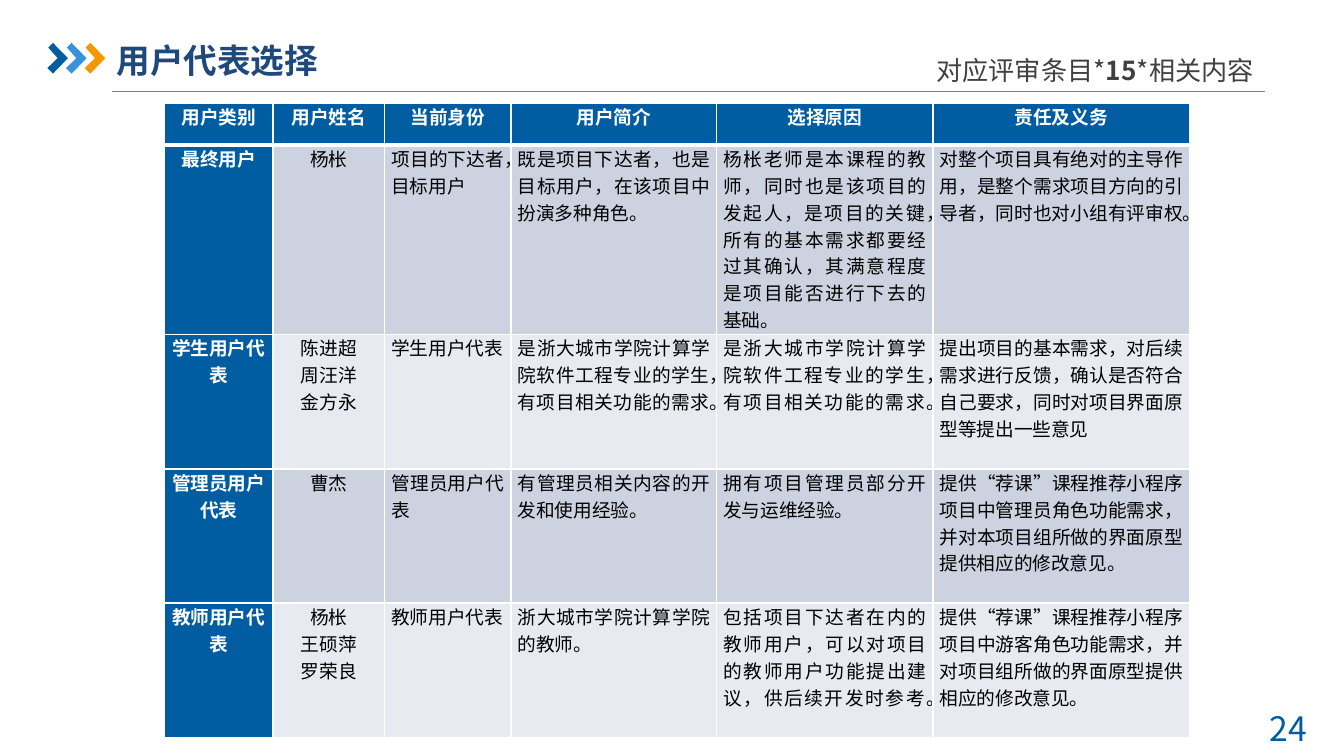
from lxml.etree import SubElement
from pptx import Presentation
from pptx.dml.color import RGBColor
from pptx.enum.shapes import MSO_CONNECTOR
from pptx.enum.text import MSO_ANCHOR, PP_ALIGN
from pptx.oxml.ns import qn
from pptx.util import Pt

FONT = "Noto Sans CJK SC"
WHITE = RGBColor(0xFF, 0xFF, 0xFF)
BLACK = RGBColor(0x00, 0x00, 0x00)
BLUE = RGBColor(0x00, 0x5D, 0xA2)
SKY = RGBColor(0x39, 0x92, 0xDB)
ORANGE = RGBColor(0xF7, 0x96, 0x00)
NAVY = RGBColor(0x1F, 0x49, 0x7D)
DARK_GRAY = RGBColor(0x40, 0x40, 0x40)
GRAY = RGBColor(0x80, 0x80, 0x80)
BAND_DARK = RGBColor(0xCC, 0xD2, 0xE0)
BAND_LIGHT = RGBColor(0xE7, 0xEA, 0xF0)

CHEVRON = [(0.5, 2.5), (3, 0), (11, 8.2), (3, 16.5), (0, 13.5), (5.5, 8.2)]
COLUMN_WIDTHS = [58.3, 59.8, 67.7, 110.2, 115.9, 137.5]
ROW_HEIGHTS = [22.3, 101.5, 72, 72, 72]
STUDENT_PROFILE = "是浙大城市学院计算学院软件工程专业的学生，有项目相关功能的需求。"
REPRESENTATIVES = [
    ["用户类别", "用户姓名", "当前身份", "用户简介", "选择原因", "责任及义务"],
    ["最终用户", "杨枨", "项目的下达者，目标用户",
     "既是项目下达者，也是目标用户，在该项目中扮演多种角色。",
     "杨枨老师是本课程的教师，同时也是该项目的发起人，是项目的关键，"
     "所有的基本需求都要经过其确认，其满意程度是项目能否进行下去的基础。",
     "对整个项目具有绝对的主导作用，是整个需求项目方向的引导者，同时也对小组有评审权。"],
    ["学生用户代表", "陈进超\n周汪洋\n金方永", "学生用户代表", STUDENT_PROFILE, STUDENT_PROFILE,
     "提出项目的基本需求，对后续需求进行反馈，确认是否符合自己要求，同时对项目界面原型等提出一些意见"],
    ["管理员用户代表", "曹杰", "管理员用户代表", "有管理员相关内容的开发和使用经验。",
     "拥有项目管理员部分开发与运维经验。",
     "提供“荐课”课程推荐小程序项目中管理员角色功能需求，并对本项目组所做的界面原型提供相应的修改意见。"],
    ["教师用户代表", "杨枨\n王硕萍\n罗荣良", "教师用户代表", "浙大城市学院计算学院的教师。",
     "包括项目下达者在内的教师用户，可以对项目的教师用户功能提出建议，供后续开发时参考。",
     "提供“荐课”课程推荐小程序项目中游客角色功能需求，并对项目组所做的界面原型提供相应的修改意见。"],
]


class SlideBuilder:
    """Draws styled elements on one slide, with lengths in points."""

    def __init__(self, slide):
        self.slide = slide

    def style_run(self, run, size, color, bold=False):
        run.font.name = FONT
        run.font.size = Pt(size)
        run.font.bold = bold
        run.font.color.rgb = color
        SubElement(run._r.get_or_add_rPr(), qn("a:ea"), typeface=FONT)

    def text(self, left, top, width, height, parts, size, color,
             align=PP_ALIGN.LEFT, anchor=MSO_ANCHOR.TOP, inset=7.2, spacing=None):
        box = self.slide.shapes.add_textbox(Pt(left), Pt(top), Pt(width), Pt(height))
        frame = box.text_frame
        frame.word_wrap = True
        frame.vertical_anchor = anchor
        frame.margin_left = frame.margin_right = Pt(inset)
        paragraph = frame.paragraphs[0]
        paragraph.alignment = align
        paragraph.line_spacing = spacing
        for wording, bold in parts:
            run = paragraph.add_run()
            run.text = wording
            self.style_run(run, size, color, bold)

    def line(self, left, right, y, color, width):
        rule = self.slide.shapes.add_connector(
            MSO_CONNECTOR.STRAIGHT, Pt(left), Pt(y), Pt(right), Pt(y))
        rule.line.color.rgb = color
        rule.line.width = Pt(width)
        SubElement(rule._element.spPr, qn("a:effectLst"))

    def chevrons(self, left, top, step, colors):
        group = self.slide.shapes.add_group_shape()
        for index, color in enumerate(colors):
            corners = [(Pt(left + index * step + x), Pt(top + y)) for x, y in CHEVRON]
            outline = group.shapes.build_freeform(*corners[0])
            outline.add_line_segments(corners[1:], close=True)
            chevron = outline.convert_to_shape()
            chevron.shadow.inherit = False
            chevron.fill.solid()
            chevron.fill.fore_color.rgb = color
            chevron.line.fill.background()

    def cell_borders(self, cell, widths):
        for side, width in widths.items():
            border = SubElement(cell._tc.get_or_add_tcPr(), qn(f"a:ln{side}"), w=str(Pt(width)))
            fill = SubElement(border, qn("a:solidFill"))
            SubElement(fill, qn("a:srgbClr"), val=str(WHITE))

    def cell(self, cell, wording, row, column):
        heading = row == 0 or column == 0
        self.cell_borders(cell, {"L": 1, "R": 1, "T": 3 if row == 1 else 1, "B": 3 if row == 0 else 1})
        cell.fill.solid()
        cell.fill.fore_color.rgb = BLUE if heading else BAND_DARK if row % 2 else BAND_LIGHT
        cell.margin_left = cell.margin_right = Pt(3.6)
        cell.margin_top = cell.margin_bottom = 0
        cell.text_frame.text = wording
        for paragraph in cell.text_frame.paragraphs:
            paragraph.alignment = PP_ALIGN.CENTER if row == 0 or column < 2 else PP_ALIGN.JUSTIFY
            self.style_run(paragraph.runs[0], 10, WHITE if heading else BLACK, heading)

    def table(self, left, top, rows, widths, heights):
        table = self.slide.shapes.add_table(
            len(rows), len(widths), Pt(left), Pt(top), Pt(sum(widths)), Pt(sum(heights))).table
        for column, width in zip(table.columns, widths):
            column.width = Pt(width)
        for index, (row, height) in enumerate(zip(rows, heights)):
            table.rows[index].height = Pt(height)
            for column, wording in enumerate(row):
                self.cell(table.cell(index, column), wording, index, column)


def main():
    presentation = Presentation()
    presentation.slide_width = Pt(720)
    presentation.slide_height = Pt(405)
    builder = SlideBuilder(presentation.slides.add_slide(presentation.slide_layouts[6]))
    builder.line(60, 677.5, 49.2, GRAY, 0.75)
    builder.chevrons(25.4, 23, 10, [BLUE, SKY, ORANGE])
    builder.text(666, 375.8, 52.6, 29, [("24 ", False)], 18, BLUE, PP_ALIGN.CENTER)
    builder.text(48.4, 17.3, 136, 30, [("用户代表选择", True)], 18, NAVY,
                 PP_ALIGN.CENTER, MSO_ANCHOR.MIDDLE, inset=0)
    builder.table(88, 55.4, REPRESENTATIVES, COLUMN_WIDTHS, ROW_HEIGHTS)
    builder.text(494.6, 17.3, 195, 32.4,
                 [("对应评审条目*", False), ("15", True), ("*相关内容", False)],
                 14, DARK_GRAY, spacing=1.5)
    presentation.save("out.pptx")


if __name__ == "__main__":
    main()
